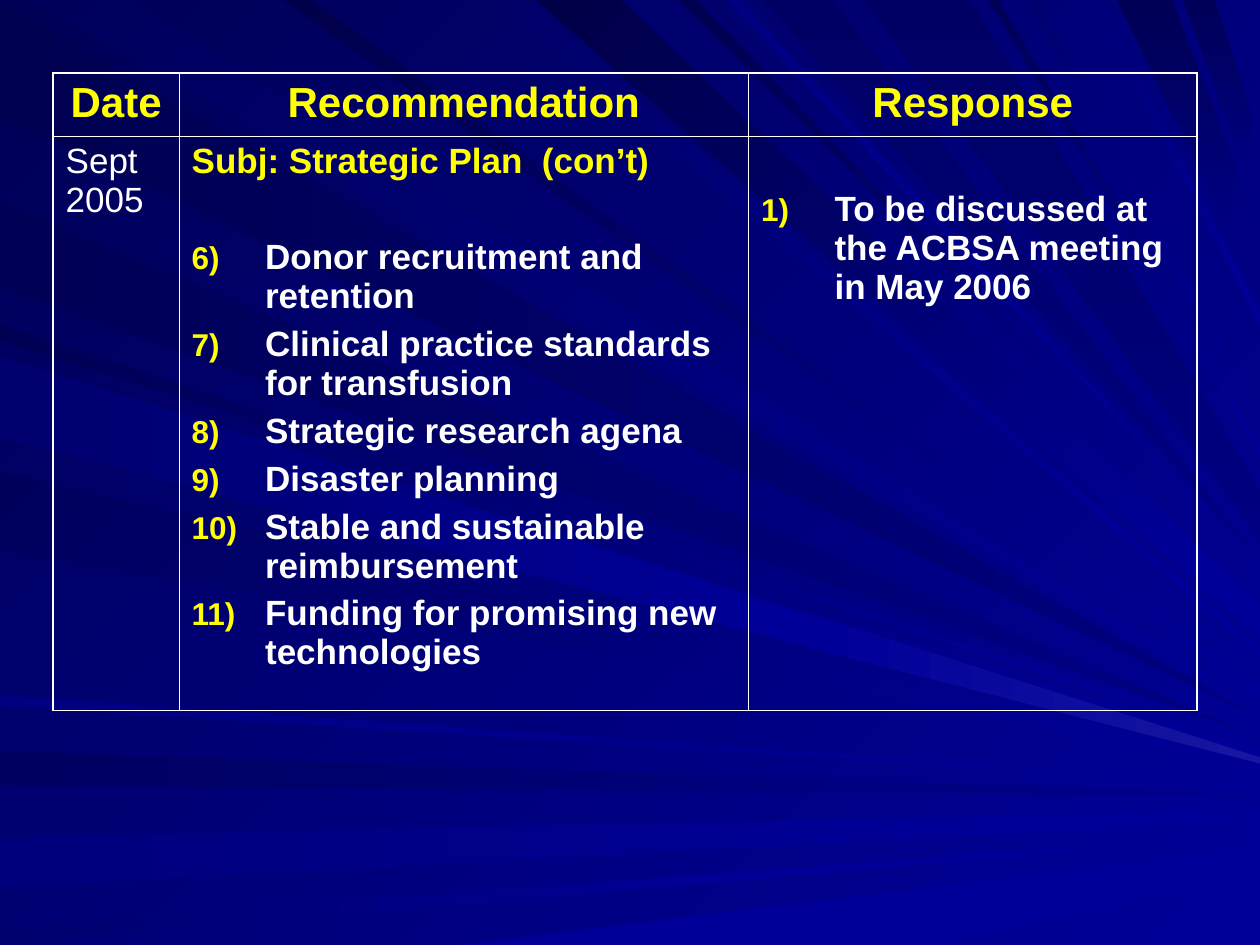
from lxml.etree import SubElement
from pptx import Presentation
from pptx.dml.color import RGBColor
from pptx.enum.text import PP_ALIGN
from pptx.oxml.ns import qn
from pptx.util import Cm, Pt

WHITE = RGBColor(0xFF, 0xFF, 0xFF)
YELLOW = RGBColor(0xFF, 0xFF, 0x00)
SHADE = [RGBColor(0, 0, n) for n in range(256)]
BLUE, NAVY = SHADE[0x99], SHADE[0x80]
LIGHT = RGBColor(0x16, 0x16, 0xA1)


def paint(fill, first, last, angle):
    """Fill with a gradient, or plainly when both colours agree."""
    if first == last:
        fill.solid()
        fill.fore_color.rgb = first
        return
    fill.gradient()
    fill.gradient_angle = angle
    for stop, color, place in zip(fill.gradient_stops, (first, last), (0, 1)):
        stop.color.rgb = color
        stop.position = place


def put(par, text, size=20, color=WHITE, bold=True, align=PP_ALIGN.LEFT,
        before=0, hang=False, start=None):
    """Write one paragraph; start makes it part of a numbered list."""
    par.alignment = align
    par.space_before = Pt(before)
    props = par._p.get_or_add_pPr()
    if hang:
        props.set("marL", str(Cm(1.48)))
        props.set("indent", str(-Cm(1.48)))
    if start:
        tint = SubElement(props, qn("a:buClr"))
        SubElement(tint, qn("a:srgbClr"), val=str(YELLOW))
        SubElement(props, qn("a:buSzPct"), val="90000")
        SubElement(props, qn("a:buFont"), typeface="Arial")
        SubElement(props, qn("a:buAutoNum"), type="arabicParenR",
                   startAt=str(start))
    run = par.add_run()
    run.text = text
    font = run.font
    font.name, font.size, font.bold = "Arial", Pt(size), bold
    font.color.rgb = color


deck = Presentation()
deck.slide_width, deck.slide_height = Cm(25.4), Cm(19.05)
slide = deck.slides.add_slide(deck.slide_layouts[6])
paint(slide.background.fill, BLUE, SHADE[0x57], 135)

# Rays run from one edge to the right edge, in hundredths of an inch:
# two starts, shade at the start, share before the far part, end heights
groups = [
    ("left", NAVY, NAVY, 180, [
        (2, 93, 0x51, 1, 570),
        (596, 623, 0x60, 0.7, 631),
        (159, 228, 0x55, 0.87, 585)]),
    ("left", BLUE, BLUE, 180, [
        (665, 704, 0x7C, 0.83, 643, 651),
        (735, 750, 0x6E, 0.63, 662),
        (552, 560, 0x81, 1, 622)]),
    ("foot", BLUE, BLUE, 180, [(364, 742, 0x99, 1, 672, 694)]),
    ("left", BLUE, BLUE, 135, [
        (258, 270, 0x53, 0.87, 589),
        (278, 342, 0x60, 1, 596, 602),
        (374, 437, 0x5C, 1, 606)]),
    ("top", BLUE, BLUE, 135, [
        (26, 101, 0x5C, 1, 563),
        (398, 416, 0x6A, 0.91, 521, 515),
        (426, 492, 0x46, 0.91, 507, 479),
        (540, 552, 0x4E, 1, 463),
        (225, 247, 0x4A, 1, 552, 547),
        (577, 588, 0x81, 1, 454),
        (785, 792, 0x57, 1, 360, 354),
        (815, 824, 0x6E, 1, 336),
        (865, 872, 0x78, 1, 258, 249)]),
    ("top", NAVY, NAVY, 90, [
        (606, 661, 0x64, 0.96, 446),
        (686, 770, 0x64, 1, 428, 390),
        (887, 930, 0x55, 0.76, 237, 183),
        (939, 964, 0x59, 0.82, 167, 114)]),
    ("left", BLUE, LIGHT, 180, [(283, 347, 0x6E, 0.64, 601, 606)]),
]
for edge, light, far, angle, rays in groups:
    for low, high, dark, cut, *ends in rays:
        sides = []
        for start, end in zip((low, high), (ends[0], ends[-1])):
            x, y = {"left": (0, start), "top": (start, 0),
                    "foot": (start, 750)}[edge]
            mid = (x + (1000 - x) * cut, y + (end - y) * cut)
            sides.append([(x, y), mid, (1000, end)])
        parts = [(0, light, SHADE[dark])]
        if cut < 1:
            parts.append((1, far, light))
        for k, first, last in parts:
            (a, b), (d, c) = (side[k:k + 2] for side in sides)
            pen = slide.shapes.build_freeform(*a, scale=Cm(2.54) / 100)
            pen.add_line_segments([b, c, d], close=True)
            ray = pen.convert_to_shape()
            ray.shadow.inherit = False
            ray.line.fill.background()
            paint(ray.fill, first, last, angle)

# Table grid
wide, tall = [2.54, 11.48, 9.04], [1.27, 11.58]
table = slide.shapes.add_table(2, 3, Cm(1.07), Cm(1.47), Cm(sum(wide)),
                               Cm(sum(tall))).table
table.first_row = table.horz_banding = False
for col, width in zip(table.columns, wide):
    col.width = Cm(width)
for row, height in zip(table.rows, tall):
    row.height = Cm(height)

# Cell borders: thicker round the outside
for r in range(2):
    for c in range(3):
        cell = table.cell(r, c)
        props = cell._tc.get_or_add_tcPr()
        outer = {"L": c == 0, "R": c == 2, "T": r == 0, "B": r == 1}
        for side, thick in outer.items():
            line = SubElement(props, qn("a:ln" + side),
                              w=str(Pt(1.08 if thick else 0.45)))
            fill = SubElement(line, qn("a:solidFill"))
            SubElement(fill, qn("a:srgbClr"), val=str(WHITE))
        cell.fill.background()

# Header row
for c, head in enumerate(["Date", "Recommendation", "Response"]):
    put(table.cell(0, c).text_frame.paragraphs[0], head, size=24,
        color=YELLOW, align=PP_ALIGN.CENTER)

# Body row
date, advice, reply = (table.cell(1, c) for c in range(3))
put(date.text_frame.paragraphs[0], "Sept 2005", bold=False)

put(advice.text_frame.paragraphs[0], "Subj: Strategic Plan  (con’t)",
    color=YELLOW, hang=True)
items = [
    "Donor recruitment and retention",
    "Clinical practice standards for transfusion",
    "Strategic research agena",
    "Disaster planning",
    "Stable and sustainable reimbursement",
    "Funding for promising new technologies",
]
for n, item in enumerate(items):
    put(advice.text_frame.add_paragraph(), item, hang=True, start=6,
        before=5 if n else 32.5)

reply.margin_top = Cm(1.09)
put(reply.text_frame.paragraphs[0],
    "To be discussed at the ACBSA meeting in May 2006", hang=True, start=1)

deck.save("out.pptx")
